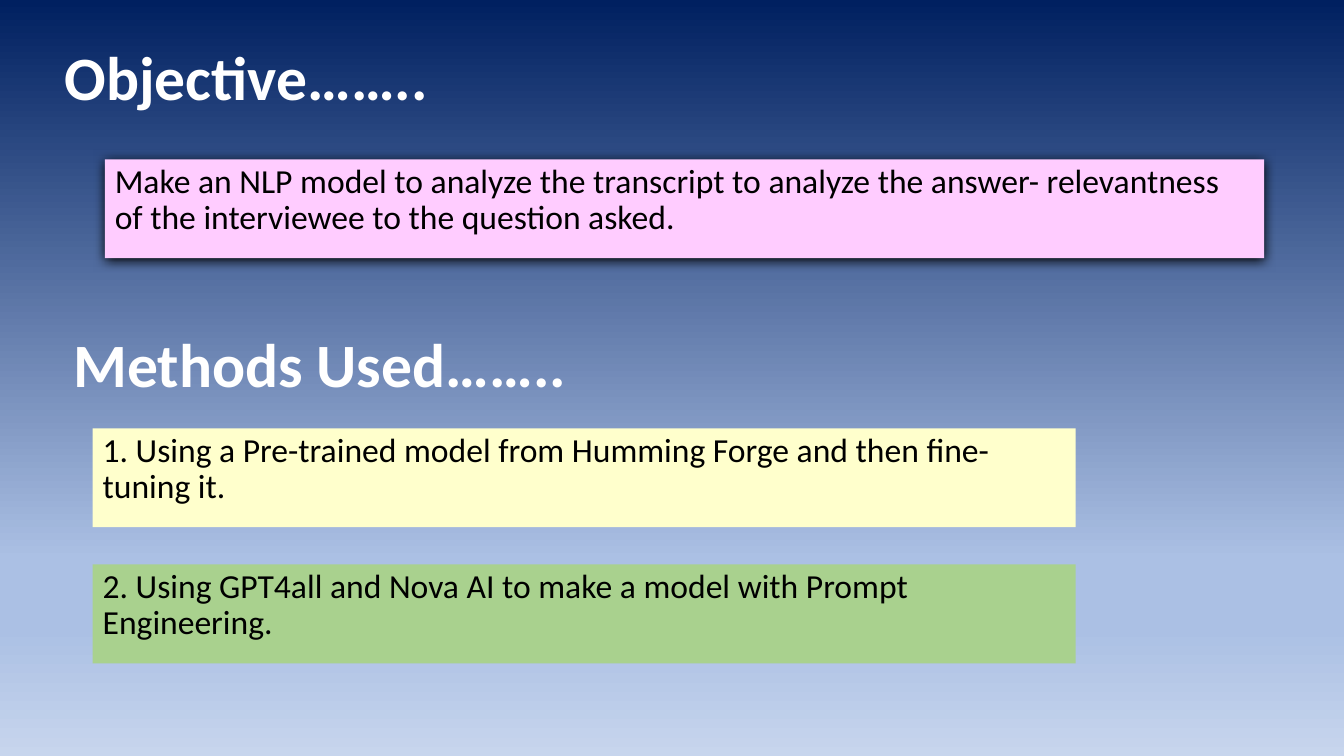
from lxml.etree import SubElement as Sub
from pptx import Presentation
from pptx.dml.color import RGBColor as RGB
from pptx.enum.shapes import MSO_SHAPE as Kind
from pptx.enum.text import MSO_ANCHOR as Anchor, MSO_AUTO_SIZE as Fit, PP_ALIGN as Align
from pptx.oxml.ns import qn
from pptx.util import Inches, Pt

HUES = {"white": "FFFFFF", "black": "000000", "pink": "FFCCFF",
        "cream": "FFFFCC", "green": "A9D18E",
        "navy": "002060", "sky": "ABC0E4", "pale": "C7D5ED"}


class Deck:
    """Style and current slide; lengths are percents of the slide's size."""
    font = "Calibri"
    head_h, card_h = 10.93, 13.07

    def __init__(self):
        self.prs = Presentation()
        self.prs.slide_width, self.prs.slide_height = Inches(13.33), Inches(7.5)
        self.slide = self.prs.slides.add_slide(self.prs.slide_layouts[5])

    def area(self, x, y, w, h):
        wide, high = self.prs.slide_width / 100, self.prs.slide_height / 100
        return [int(n) for n in (x * wide, y * high, w * wide, h * high)]

    def ground(self, stops):
        fill = self.slide.background.fill
        fill.gradient()
        fill.gradient_angle = 270
        ramp = self.slide.element.find(".//" + qn("a:gsLst"))
        for old in list(ramp):
            ramp.remove(old)
        for pos, hue in stops:
            stop = Sub(ramp, qn("a:gs"), pos=str(pos * 1000))
            Sub(stop, qn("a:srgbClr"), val=HUES[hue])

    def label(self, shape, text, size, hue, anchor, bold=False):
        frame = shape.text_frame
        frame.text = text
        frame.word_wrap = True
        frame.auto_size = Fit.NONE
        frame.vertical_anchor = anchor
        para = frame.paragraphs[0]
        para.alignment = Align.LEFT
        para.line_spacing = 0.9
        font = para.runs[0].font
        font.name, font.size, font.bold = self.font, Pt(size), bold
        font.color.rgb = RGB.from_string(HUES[hue])

    def head(self, text, x, y, w, title=False):
        place = self.area(x, y, w, self.head_h)
        if title:
            box = self.slide.shapes.title
            box.left, box.top, box.width, box.height = place
        else:
            box = self.slide.shapes.add_textbox(*place)
        self.label(box, text, 44, "white", Anchor.MIDDLE, True)

    def card(self, text, x, y, w, hue, shade=False):
        box = self.slide.shapes.add_shape(
            Kind.RECTANGLE, *self.area(x, y, w, self.card_h))
        box.fill.solid()
        box.fill.fore_color.rgb = RGB.from_string(HUES[hue])
        box.line.fill.background()
        box.shadow.inherit = False
        if shade:
            glow = Sub(box.element.spPr.find(qn("a:effectLst")), qn("a:outerShdw"),
                       blurRad=str(Pt(8.5)), dist=str(Pt(1)), dir="5400000",
                       algn="t", rotWithShape="0")
            Sub(glow, qn("a:srgbClr"), val=HUES["black"])
        self.label(box, text, 24, "black", Anchor.TOP)


def main():
    deck = Deck()
    deck.ground([(0, "navy"), (74, "sky"), (83, "sky"), (100, "pale")])

    # Objective
    deck.head("Objective……..", 4.05, 5.2, 29.1, title=True)
    deck.card("Make an NLP model to analyze the transcript to analyze the answer- "
              "relevantness of the interviewee to the question asked.",
              7.8, 21.07, 86.25, "pink", shade=True)

    # Methods, one card each at an equal step
    deck.head("Methods Used……..", 4.73, 43.2, 39.23)
    ways = [("1. Using a Pre-trained model from Humming Forge and then fine-tuning it.",
             "cream"),
            ("2. Using GPT4all and Nova AI to make a model with Prompt Engineering.",
             "green")]
    for i, (text, hue) in enumerate(ways):
        deck.card(text, 6.9, 56.67 + 18 * i, 73.13, hue)

    deck.prs.save("out.pptx")


if __name__ == "__main__":
    main()
